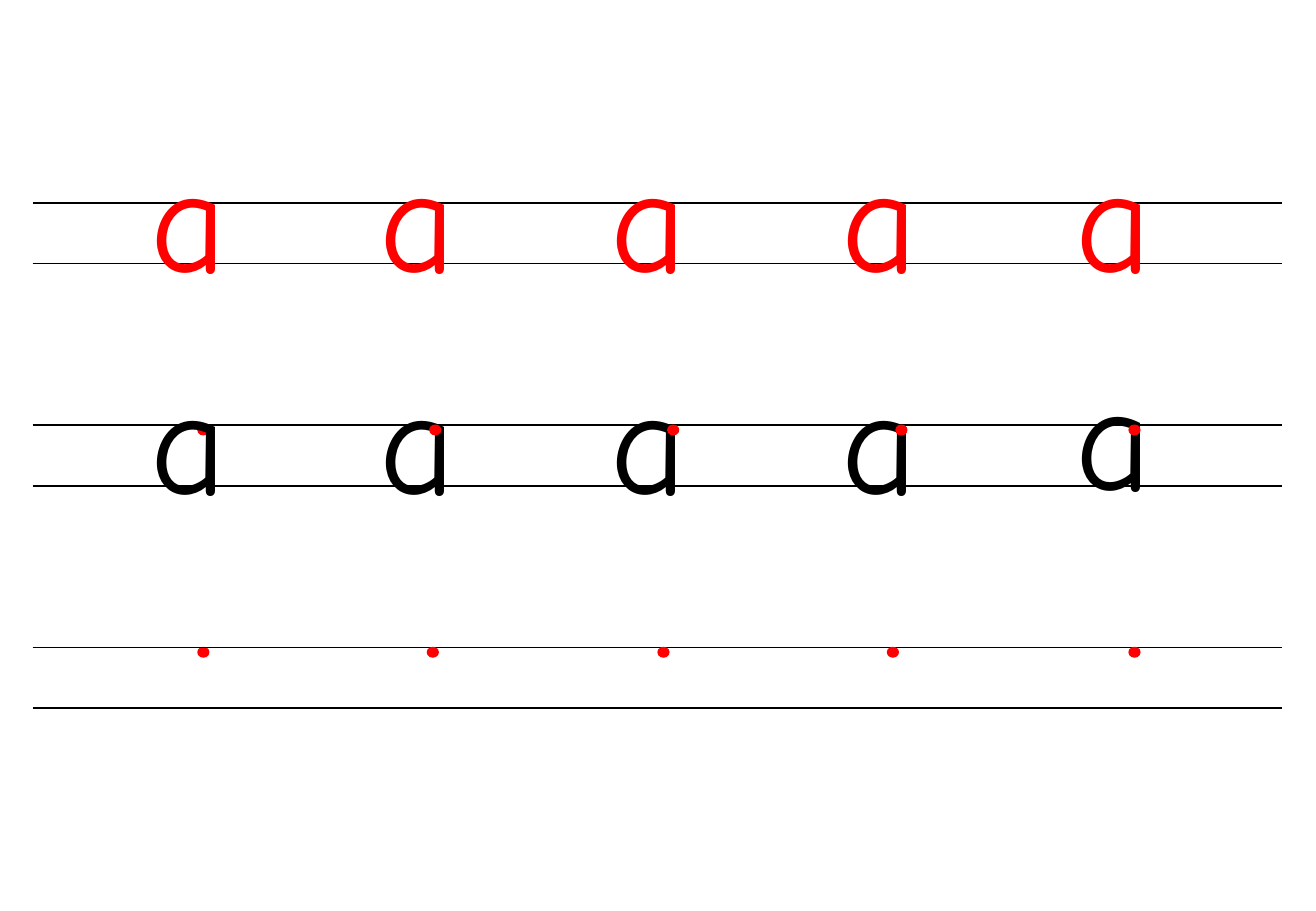
from dataclasses import dataclass

from lxml import etree
from pptx import Presentation
from pptx import util as u
from pptx.dml.color import RGBColor
from pptx.enum import shapes, text
from pptx.oxml import ns

PX = 9144  # EMU per px, 100 px to the inch
COLORS = {"red": "FF0000", "black": "000000"}
FONT = "Comic Neue"

RULE_LEFT, RULE_RIGHT, RULE_GAP = 27, 1056, 50
FIRST_ROW_TOP, ROW_STEP = 167, 183
LETTER_RISE, LETTER_HEIGHT = 70, 157
DOT_WIDTH, DOT_HEIGHT = 9, 8


@dataclass(frozen=True)
class Letter:
    left: int
    rise: int = LETTER_RISE
    width: int = 83
    wrap: bool = False


@dataclass(frozen=True)
class PracticeRow:
    letters: tuple[Letter, ...] = ()
    color: str = "black"
    dots: tuple[int, ...] = ()


FIRST_LETTERS = (Letter(114), Letter(303, width=94, wrap=True), Letter(493), Letter(683))
ROWS = (
    PracticeRow(FIRST_LETTERS + (Letter(876),), "red"),
    PracticeRow(FIRST_LETTERS + (Letter(876, rise=73),), dots=(163, 354, 550, 738, 930)),
    PracticeRow(dots=(163, 352, 542, 731, 930)),
)


def px(length: int) -> u.Emu:
    return u.Emu(length * PX)


def rgb(name: str) -> RGBColor:
    return RGBColor.from_string(COLORS[name])


def add_rule(slide, top: int) -> None:
    rule = slide.shapes.add_connector(
        shapes.MSO_CONNECTOR.STRAIGHT, px(RULE_LEFT), px(top), px(RULE_RIGHT), px(top))
    rule.line.color.rgb = rgb("black")
    rule.line.width = u.Pt(1)
    etree.SubElement(rule._element.spPr, ns.qn("a:effectLst"))


def add_letter(slide, letter: Letter, row_top: int, color: str) -> None:
    box = slide.shapes.add_textbox(
        px(letter.left), px(row_top - letter.rise), px(letter.width), px(LETTER_HEIGHT))
    frame = box.text_frame
    frame.word_wrap = letter.wrap
    frame.auto_size = text.MSO_AUTO_SIZE.SHAPE_TO_FIT_TEXT
    frame.text = "a"
    font = frame.paragraphs[0].runs[0].font
    font.name = FONT
    font.size = u.Pt(88)
    font.color.rgb = rgb(color)


def add_dot(slide, left: int, top: int) -> None:
    dot = slide.shapes.add_shape(
        shapes.MSO_SHAPE.OVAL, px(left), px(top), px(DOT_WIDTH), px(DOT_HEIGHT))
    dot.shadow.inherit = False
    dot.fill.solid()
    dot.fill.fore_color.rgb = rgb("red")
    dot.line.color.rgb = rgb("red")
    dot.line.width = u.Pt(0.75)


def add_row(slide, row: PracticeRow, top: int) -> None:
    """Draw a row; its first dot lies behind the rules and letters."""
    for left in row.dots[:1]:
        add_dot(slide, left, top)
    for rule_top in (top, top + RULE_GAP):
        add_rule(slide, rule_top)
    for letter in row.letters:
        add_letter(slide, letter, top, row.color)
    for left in row.dots[1:]:
        add_dot(slide, left, top)


def main() -> None:
    presentation = Presentation()
    presentation.slide_width = px(1084)
    presentation.slide_height = px(750)
    slide = presentation.slides.add_slide(presentation.slide_layouts[6])
    for index, row in enumerate(ROWS):
        add_row(slide, row, FIRST_ROW_TOP + index * ROW_STEP)
    presentation.save("out.pptx")


if __name__ == "__main__":
    main()
